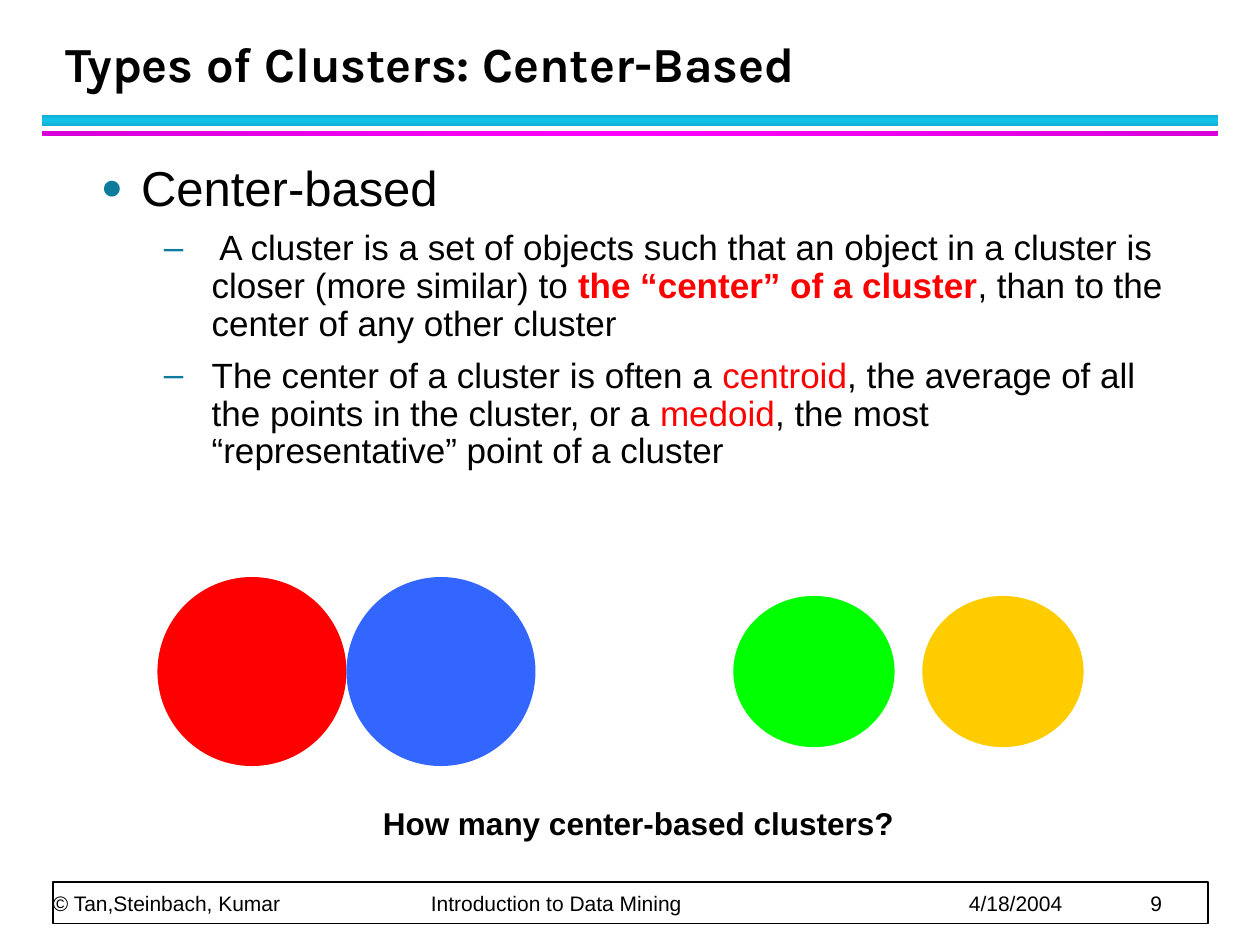
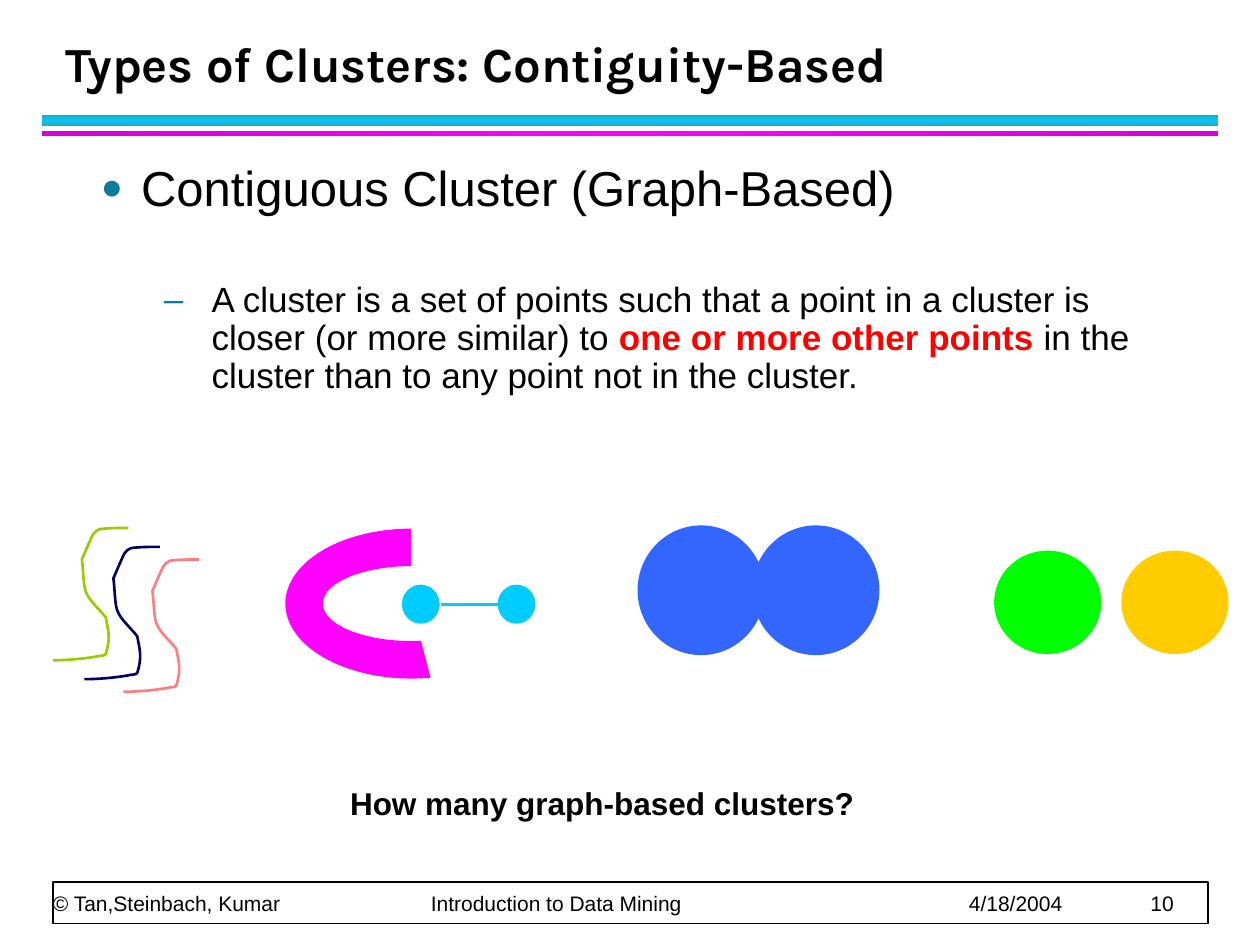
from copy import deepcopy

from lxml import etree
from pptx import Presentation
from pptx.dml.color import RGBColor
from pptx.enum import shapes, text
from pptx.oxml import ns
from pptx.util import Inches, Pt


class Theme:
    TITLE_FONT, BODY_FONT = "Karla", "Arial"
    TITLE, TOPIC, POINT, CAPTION, FOOTER = 28, 28, 20, 18, 12
    BLACK, WHITE, RED, BULLET = "000000", "FFFFFF", "FF0000", "0C7B9C"
    BLUE, GREEN, GOLD = "3366FF", "00FF00", "FFCC00"
    CYAN, MAGENTA = "00CCFF", "FF00FF"
    OLIVE, NAVY, PINK = "99CC00", "000066", "FF7C80"
    BAND_CYAN, BAND_MAGENTA = ("10AFD2", "12C2E9"), ("D800D8", "FF00FF")


STRONG = dict(color=Theme.RED, bold=True)
TERM = dict(color=Theme.RED)

# Each point is a list of (text, format) pieces; gap is the space above a point in points.
SLIDES = [
    dict(
        number=9,
        title="Types of Clusters: Center-Based",
        topic="Center-based",
        gap=8,
        points=[
            [(" A cluster is a set of objects such that an object in a cluster is "
              "closer (more similar) to ", {}),
             ("the “center” of a cluster", STRONG),
             (", than to the center of any other cluster", {})],
            [("The center of a cluster is often a ", {}),
             ("centroid", TERM),
             (", the average of all the points in the cluster, or a ", {}),
             ("medoid", TERM),
             (", the most “representative” point of a cluster", {})],
        ],
        caption=("How many center-based clusters?", 2.94, 6.33),
    ),
    dict(
        number=10,
        title="Types of Clusters: Contiguity-Based",
        topic="Contiguous Cluster (Graph-Based)",
        gap=37.5,
        points=[
            [("A cluster is a set of points such that a point in a cluster is "
              "closer (or more similar) to ", {}),
             ("one or more other points ", STRONG),
             ("in the cluster than to any point not in the cluster.", {})],
        ],
        caption=("How many graph-based clusters?", 2.68, 6.17),
    ),
]
FOOTER = ["© Tan,Steinbach, Kumar", "Introduction to Data Mining", "4/18/2004"]
FOOTER_TABS = [3, 7.27, 8.71]

# Rows of equal circles: left, top, width, height, step, colours
CENTER_ROWS = [
    (1.25, 4.58, 1.5, 1.5, 1.5, [Theme.RED, Theme.BLUE]),
    (5.82, 4.73, 1.28, 1.2, 1.5, [Theme.GREEN, Theme.GOLD]),
]
GRAPH_ROWS = [
    (3.19, 4.64, 0.3, 0.31, 0.76, [Theme.CYAN] * 2),
    (7.89, 4.37, 0.85, 0.82, 1.01, [Theme.GREEN, Theme.GOLD]),
    (5.06, 4.17, 1.01, 1.03, 0.91, [Theme.BLUE] * 2),
]

# Bézier chain: a start point, then two controls and an end for each piece
WAVE = [
    (1.02, 4.19),
    (0.94, 4.19), (0.86, 4.19), (0.79, 4.2),
    (0.77, 4.21), (0.75, 4.22), (0.74, 4.24),
    (0.73, 4.25), (0.66, 4.42), (0.65, 4.44),
    (0.66, 4.51), (0.66, 4.58), (0.67, 4.65),
    (0.68, 4.75), (0.78, 4.82), (0.84, 4.9),
    (0.86, 5.01), (0.88, 5.06), (0.84, 5.19),
    (0.83, 5.21), (0.79, 5.2), (0.77, 5.21),
    (0.65, 5.23), (0.53, 5.24), (0.42, 5.24),
]
WAVE_COPIES = [(0, 0, Theme.OLIVE), (0.25, 0.15, Theme.NAVY), (0.56, 0.25, Theme.PINK)]


def rgb(color):
    return RGBColor.from_string(color)


def write(p, words, size=Theme.POINT, font=Theme.BODY_FONT, color=Theme.BLACK, bold=False):
    r = p.add_run()
    r.text = words
    r.font.size, r.font.name, r.font.bold = Pt(size), font, bold
    r.font.color.rgb = rgb(color)


def add_xml(parent, tag, **attrs):
    return etree.SubElement(parent, ns.qn(tag), {k: str(v) for k, v in attrs.items()})


def place(sp, left, top, width, height):
    sp.left, sp.top, sp.width, sp.height = map(Inches, (left, top, width, height))


def frame(sp, anchor=text.MSO_ANCHOR.TOP):
    tf = sp.text_frame
    tf.word_wrap, tf.auto_size = True, text.MSO_AUTO_SIZE.NONE
    tf.vertical_anchor = anchor
    return tf


def add_figure(s, kind, box, fill, line=None):
    sp = s.shapes.add_shape(kind, *map(Inches, box))
    sp.shadow.inherit = False
    sp.fill.solid()
    sp.fill.fore_color.rgb = rgb(fill)
    if line:
        sp.line.color.rgb = rgb(line)
        sp.line.width = Pt(1)
    else:
        sp.line.fill.background()
    return sp


def add_band(s, top, height, colors, angle):
    edge, middle = colors
    sp = add_figure(s, shapes.MSO_SHAPE.RECTANGLE, (0.33, top, 9.34, height), middle)
    sp.fill.gradient()
    sp.fill.gradient_angle = angle
    stops = sp._element.spPr.find(".//" + ns.qn("a:gsLst"))
    stops.insert(1, deepcopy(stops[0]))
    for stop, position, color in zip(sp.fill.gradient_stops, (0, 0.5, 1), (edge, middle, edge)):
        stop.position = position
        stop.color.rgb = rgb(color)
    return sp


def furnish_layout(s):
    """Put the bands and the footer frame on the layout of the slide."""
    parts = [
        add_band(s, 0.91, 0.09, Theme.BAND_CYAN, 90),
        add_band(s, 1.04, 0.04, Theme.BAND_MAGENTA, 180),
        add_figure(s, shapes.MSO_SHAPE.RECTANGLE, (0.42, 7, 9.17, 0.33),
                   Theme.WHITE, Theme.BLACK),
    ]
    for sp in parts:
        s.slide_layout.shapes._spTree.append(sp._element)


def add_footer(s, number):
    sp = s.shapes.add_textbox(*map(Inches, (0.42, 6.99, 9.15, 0.28)))
    tf = frame(sp, text.MSO_ANCHOR.BOTTOM)
    tf.margin_left = tf.margin_right = tf.margin_top = tf.margin_bottom = 0
    p = tf.paragraphs[0]
    p.line_spacing = 1.67
    tabs = add_xml(p._p.get_or_add_pPr(), "a:tabLst")
    for tab in FOOTER_TABS:
        add_xml(tabs, "a:tab", pos=Inches(tab), algn="l")
    write(p, "\t".join(FOOTER + [str(number)]), size=Theme.FOOTER)


def set_bullet(p, char, margin, hang, percent=100):
    pPr = p._p.get_or_add_pPr()
    pPr.set("marL", str(Inches(margin)))
    pPr.set("indent", str(-Inches(hang)))
    add_xml(add_xml(pPr, "a:buClr"), "a:srgbClr", val=Theme.BULLET)
    add_xml(pPr, "a:buSzPct", val=percent * 1000)
    add_xml(pPr, "a:buFont", typeface=Theme.BODY_FONT)
    add_xml(pPr, "a:buChar", char=char)


def fill_body(sp, topic, points, gap):
    place(sp, 0.7, 1.25, 8.75, 5.59)
    tf = frame(sp)
    p = tf.paragraphs[0]
    p.line_spacing, p.space_before = 0.9, Pt(0)
    set_bullet(p, "●", 0.32, 0.32, percent=75)
    write(p, topic, size=Theme.TOPIC)
    for point in points:
        p = tf.add_paragraph()
        p.level, p.line_spacing, p.space_before = 1, 0.9, Pt(gap)
        set_bullet(p, "–", 0.88, 0.38)
        for words, style in point:
            write(p, words, **style)


def add_base(prs, number, title, topic, points, gap, caption):
    """Add a slide with everything but its drawing."""
    s = prs.slides.add_slide(prs.slide_layouts[1])
    add_footer(s, number)

    place(s.shapes.title, 0.42, 0.18, 9.06, 0.6)
    p = frame(s.shapes.title, text.MSO_ANCHOR.BOTTOM).paragraphs[0]
    p.alignment, p.line_spacing = text.PP_ALIGN.LEFT, 1.29
    write(p, title, size=Theme.TITLE, font=Theme.TITLE_FONT, bold=True)

    fill_body(s.placeholders[1], topic, points, gap)

    words, left, top = caption
    sp = s.shapes.add_textbox(*map(Inches, (left, top, 4.29, 0.4)))
    write(frame(sp).paragraphs[0], words, size=Theme.CAPTION, bold=True)
    return s


def add_circles(s, rows):
    for left, top, width, height, step, colors in rows:
        for i, color in enumerate(colors):
            add_figure(s, shapes.MSO_SHAPE.OVAL, (left + i * step, top, width, height), color)


def bend(sp):
    """Turn each three straight segments of a freeform into one Bézier piece."""
    outline = sp._element.spPr.find(".//" + ns.qn("a:path"))
    segments = outline.findall(ns.qn("a:lnTo"))
    for i in range(0, len(segments), 3):
        piece = add_xml(outline, "a:cubicBezTo")
        for segment in segments[i:i + 3]:
            piece.append(segment[0])
            outline.remove(segment)


def add_wave(s, dx, dy, color):
    points = [(Inches(x + dx), Inches(y + dy)) for x, y in WAVE]
    builder = s.shapes.build_freeform(*points[0])
    builder.add_line_segments(points[1:], close=False)
    sp = builder.convert_to_shape()
    bend(sp)
    sp.shadow.inherit = False
    sp.fill.background()
    sp.line.color.rgb = rgb(color)
    sp.line.width = Pt(1.5)


def draw_centers(s):
    add_circles(s, CENTER_ROWS)


def draw_graphs(s):
    for wave in WAVE_COPIES:
        add_wave(s, *wave)
    arc = add_figure(s, shapes.MSO_SHAPE.BLOCK_ARC, (2.67, 3.79, 1.19, 2), Theme.MAGENTA)
    arc.rotation = 270
    for i, value in enumerate((99.25, 0.06, 0.25)):
        arc.adjustments[i] = value
    add_circles(s, GRAPH_ROWS)
    link = s.shapes.add_connector(shapes.MSO_CONNECTOR.STRAIGHT,
                                  *map(Inches, (3.5, 4.8, 3.95, 4.8)))
    link.line.color.rgb = rgb(Theme.CYAN)
    link.line.width = Pt(1.5)
    add_xml(link._element.spPr, "a:effectLst")


def main():
    prs = Presentation()
    prs.slide_width, prs.slide_height = Inches(10), Inches(7.5)
    for content, draw in zip(SLIDES, (draw_centers, draw_graphs)):
        draw(add_base(prs, **content))
    furnish_layout(prs.slides[0])
    prs.save("out.pptx")


if __name__ == "__main__":
    main()
